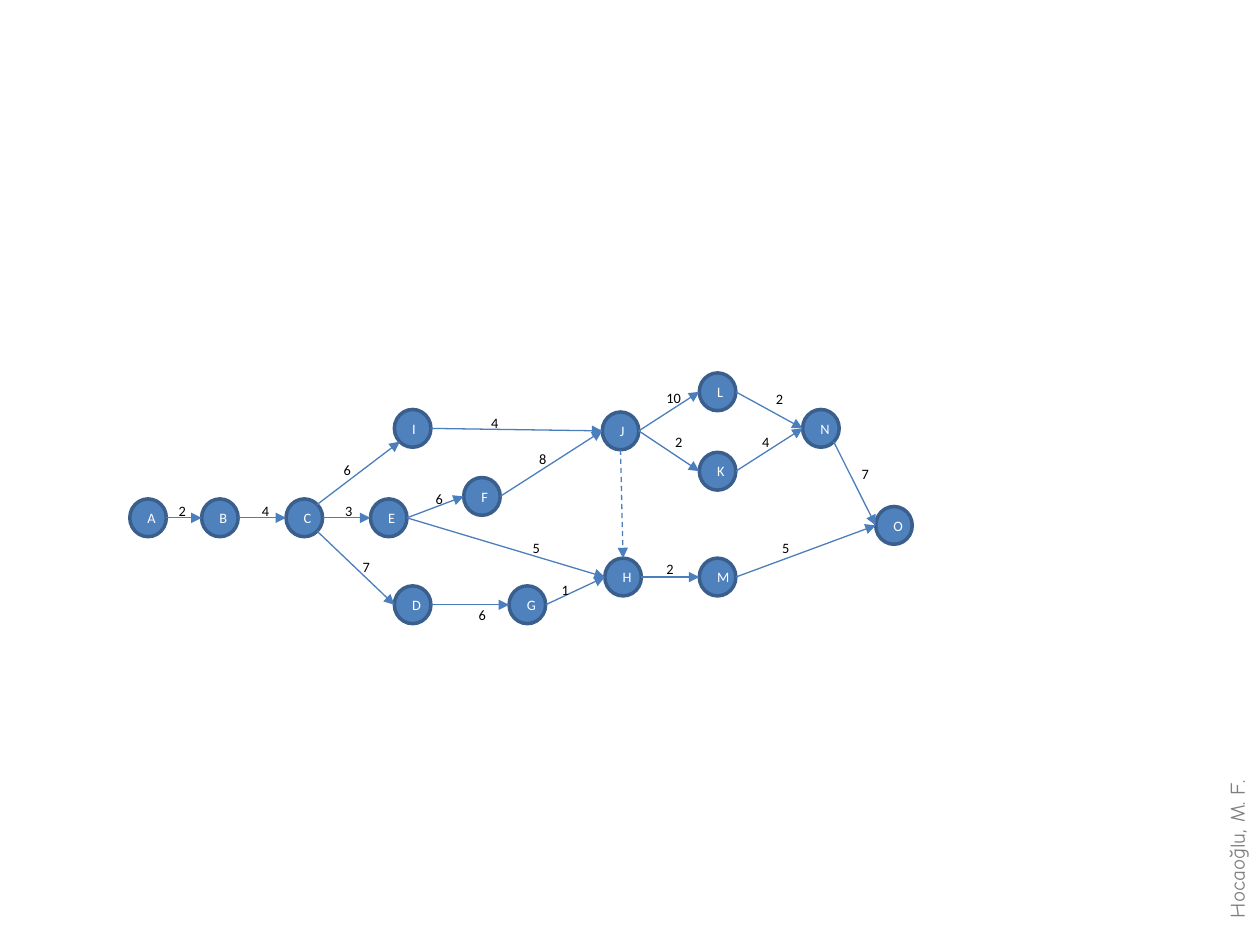
from lxml import etree
from pptx import Presentation
from pptx.dml.color import RGBColor
from pptx.enum.dml import MSO_LINE
from pptx.enum.shapes import MSO_CONNECTOR, MSO_SHAPE
from pptx.enum.text import MSO_ANCHOR, MSO_AUTO_SIZE, PP_ALIGN
from pptx.oxml.ns import qn
from pptx.util import Inches, Pt

OVAL = MSO_SHAPE.OVAL
STRAIGHT = MSO_CONNECTOR.STRAIGHT
DASH = MSO_LINE.DASH
MIDDLE = MSO_ANCHOR.MIDDLE
CENTER = PP_ALIGN.CENTER
FIT_SHAPE = MSO_AUTO_SIZE.SHAPE_TO_FIT_TEXT

NODE_WIDTH, NODE_HEIGHT = 0.29, 0.3
TEXT_SIZE = 8.2
SIDES = {
    "left": (0, 0.5), "right": (1, 0.5), "top": (0.5, 0), "bottom": (0.5, 1),
    "upper right": (0.85, 0.15), "lower right": (0.85, 0.85), "lower left": (0.15, 0.85),
}
ACTIVITIES = {
    "A": (0, 1), "B": (0.57, 1), "C": (1.24, 1), "I": (2.1, 0.29), "E": (1.91, 1),
    "D": (2.1, 1.69), "G": (3.01, 1.69), "J": (3.75, 0.31), "F": (2.65, 0.83),
    "H": (3.77, 1.47), "K": (4.52, 0.63), "L": (4.52, 0), "N": (5.34, 0.29),
    "O": (5.92, 1.06), "M": (4.52, 1.47),
}
DURATIONS = [
    ("A", "B", "2", 0.29, 0.98), ("B", "C", "4", 0.95, 0.98),
    ("C", "I", "6", 1.6, 0.65), ("C", "D", "7", 1.75, 1.42),
    ("C", "E", "3", 1.61, 0.98), ("E", "F", "6", 2.33, 0.88),
    ("E", "H", "5", 3.1, 1.27), ("D", "G", "6", 2.67, 1.8),
    ("G", "H", "1", 3.33, 1.6), ("I", "J", "4", 2.77, 0.28),
    ("F", "J", "8", 3.15, 0.56), ("J", "L", "10", 4.16, 0.08),
    ("J", "K", "2", 4.23, 0.43), ("L", "N", "2", 5.03, 0.09),
    ("K", "N", "4", 4.92, 0.43), ("H", "M", "2", 4.16, 1.44),
    ("M", "O", "5", 5.08, 1.27), ("N", "O", "7", 5.71, 0.68),
]
SPECIAL_SIDES = {
    "CI": ("upper right", "lower left"),
    "CD": ("lower right", "left"),
    "NO": ("lower right", "left"),
    "JH": ("bottom", "top"),
}


def color(value):
    """Return the colour for a hex string."""
    return RGBColor.from_string(value)


def add_run(paragraph, text, size, font, ink):
    """Add one formatted run to a paragraph."""
    run = paragraph.add_run()
    run.text = text
    run.font.size = Pt(size)
    run.font.name = font
    run.font.color.rgb = color(ink)


def add_label(slide, text, left, top, width, height, size, font, ink):
    """Add an unwrapped one-line text box and return it."""
    label = slide.shapes.add_textbox(Inches(left), Inches(top), Inches(width), Inches(height))
    label.text_frame.word_wrap = False
    label.text_frame.auto_size = FIT_SHAPE
    add_run(label.text_frame.paragraphs[0], text, size, font, ink)
    return label


def add_activity(slide, name, left, top):
    """Add one activity circle."""
    circle = slide.shapes.add_shape(
        OVAL, Inches(left), Inches(top), Inches(NODE_WIDTH), Inches(NODE_HEIGHT))
    circle.shadow.inherit = False
    circle.fill.solid()
    circle.fill.fore_color.rgb = color("4F81BD")
    circle.line.color.rgb = color("3A5F8C")
    circle.line.width = Pt(2)
    circle.text_frame.vertical_anchor = MIDDLE
    paragraph = circle.text_frame.paragraphs[0]
    paragraph.alignment = CENTER
    add_run(paragraph, name, TEXT_SIZE, "Calibri", "FFFFFF")


def side_point(name, side, left, top):
    """Return the point on an activity's edge in a network at left, top."""
    x, y = ACTIVITIES[name]
    across, down = SIDES[side]
    return Inches(left + x + across * NODE_WIDTH), Inches(top + y + down * NODE_HEIGHT)


def add_dependency(slide, source, target, left, top):
    """Add the arrow from one activity to the next and return it."""
    start_side, end_side = SPECIAL_SIDES.get(source + target, ("right", "left"))
    arrow = slide.shapes.add_connector(
        STRAIGHT, *side_point(source, start_side, left, top),
        *side_point(target, end_side, left, top))
    arrow.line.color.rgb = color("4B7EBC")
    arrow.line.width = Pt(0.75)
    etree.SubElement(arrow.line._get_or_add_ln(), qn("a:tailEnd"), type="triangle")
    etree.SubElement(arrow._element.spPr, qn("a:effectLst"))
    return arrow


def add_network(slide, left, top):
    """Draw the activity network with its durations."""
    for name, (x, y) in ACTIVITIES.items():
        add_activity(slide, name, left + x, top + y)
    for source, target, _, _, _ in DURATIONS:
        add_dependency(slide, source, target, left, top)
    add_dependency(slide, "J", "H", left, top).line.dash_style = DASH
    for _, _, duration, x, y in DURATIONS:
        width = 0.2 + 0.06 * len(duration)
        add_label(slide, duration, left + x, top + y, width, 0.24,
                  TEXT_SIZE, "Calibri", "000000")


def add_author(slide, left, top, width, height):
    """Add the author's name reading upwards."""
    author = add_label(slide, "Hocaoğlu, M. F.", left, top, width, height,
                       12, "Comic Neue", "808080")
    author.rotation = 270


def main():
    """Build and save the slide."""
    presentation = Presentation()
    presentation.slide_width = Inches(10)
    presentation.slide_height = Inches(7.5)
    slide = presentation.slides.add_slide(presentation.slide_layouts[6])
    add_author(slide, 9, 6.42, 1.63, 0.3)
    add_network(slide, 1.03, 2.96)
    presentation.save("out.pptx")


if __name__ == "__main__":
    main()
